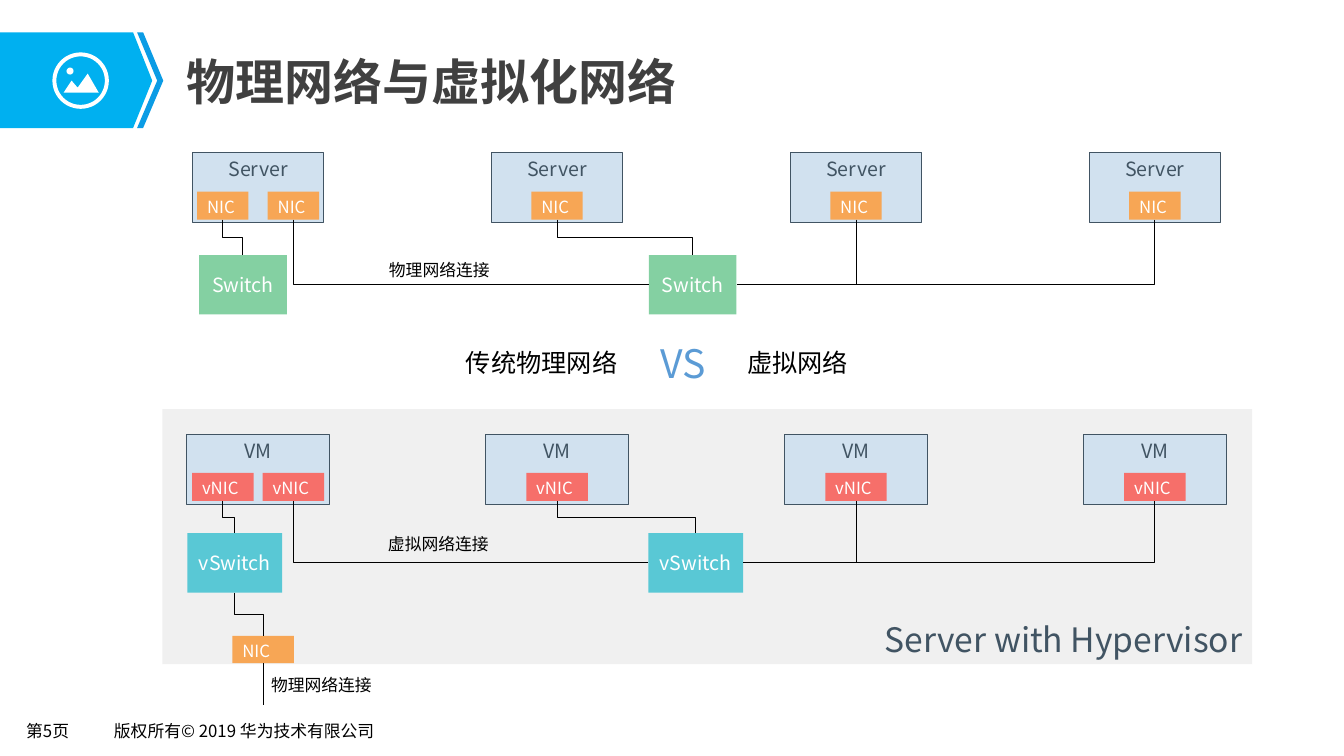
from dataclasses import dataclass

from lxml import etree
from pptx import Presentation
from pptx.dml.color import RGBColor
from pptx.enum.shapes import MSO_CONNECTOR, MSO_SHAPE
from pptx.enum.text import MSO_ANCHOR, MSO_AUTO_SIZE, PP_ALIGN
from pptx.oxml.ns import qn
from pptx.util import Inches, Pt

RECTANGLE, OVAL, DONUT = MSO_SHAPE.RECTANGLE, MSO_SHAPE.OVAL, MSO_SHAPE.DONUT
STRAIGHT, ELBOW = MSO_CONNECTOR.STRAIGHT, MSO_CONNECTOR.ELBOW
TOP, MIDDLE, BOTTOM = MSO_ANCHOR.TOP, MSO_ANCHOR.MIDDLE, MSO_ANCHOR.BOTTOM
LEFT, CENTER, RIGHT = PP_ALIGN.LEFT, PP_ALIGN.CENTER, PP_ALIGN.RIGHT
FIT_SHAPE, NO_FIT = MSO_AUTO_SIZE.SHAPE_TO_FIT_TEXT, MSO_AUTO_SIZE.NONE
SITE_TOP, SITE_LEFT, SITE_BOTTOM, SITE_RIGHT = range(4)


@dataclass(frozen=True)
class Theme:
    font: str = "Noto Sans CJK SC"
    black: str = "000000"
    white: str = "FFFFFF"
    title: str = "404040"
    slate: str = "415463"
    host: str = "D1E1EF"
    panel: str = "F0F0F0"
    nic: str = "F7A655"
    virtual_nic: str = "F66F6A"
    switch: str = "84D0A2"
    virtual_switch: str = "59C8D5"
    banner: str = "00B0F0"
    chevron: str = "0B9CE5"
    versus: str = "5B9BD5"
    title_size: float = 35
    versus_size: float = 28
    panel_size: float = 24
    heading_size: float = 18
    node_size: float = 14
    small_size: float = 12


THEME = Theme()
COLUMN_CENTERS = [2.56 + 2.965 * column for column in range(4)]
NIC_CENTERS = [COLUMN_CENTERS[0] - 0.35, COLUMN_CENTERS[0] + 0.35, *COLUMN_CENTERS[1:]]


def write_text(shape, text, *, size, color, align=LEFT, anchor=TOP, bold=False,
               wrap=True, insets=(0.1, 0.05)):
    frame = shape.text_frame
    frame.word_wrap = wrap
    frame.vertical_anchor = anchor
    frame.margin_left = frame.margin_right = Inches(insets[0])
    frame.margin_top = frame.margin_bottom = Inches(insets[1])
    paragraph = frame.paragraphs[0]
    paragraph.alignment = align
    run = paragraph.add_run()
    run.text = text
    run.font.size = Pt(size)
    run.font.bold = bold
    run.font.color.rgb = RGBColor.from_string(color)
    run.font.name = THEME.font
    etree.SubElement(run.font._element, qn("a:ea"), typeface=THEME.font)


def paint(shape, fill, outline=None):
    shape.shadow.inherit = False
    shape.fill.solid()
    shape.fill.fore_color.rgb = RGBColor.from_string(fill)
    if outline:
        shape.line.color.rgb = RGBColor.from_string(outline)
        shape.line.width = Pt(0.75)
    else:
        shape.line.fill.background()


def add_block(slide, left, top, width, height, fill, outline=None, kind=RECTANGLE):
    shape = slide.shapes.add_shape(
        kind, Inches(left), Inches(top), Inches(width), Inches(height))
    paint(shape, fill, outline)
    return shape


def add_node(slide, text, center, top, width, height, fill, *, outline=None, **text_format):
    shape = add_block(slide, center - width / 2, top, width, height, fill, outline)
    write_text(shape, text, **text_format)
    return shape


def add_label(slide, text, left, top, width, height, **text_format):
    box = slide.shapes.add_textbox(
        Inches(left), Inches(top), Inches(width), Inches(height))
    write_text(box, text, wrap=False, **text_format)
    box.text_frame.auto_size = FIT_SHAPE


def add_outline(slide, points, fill):
    corners = [(Inches(x), Inches(y)) for x, y in points]
    builder = slide.shapes.build_freeform(*corners[0])
    builder.add_line_segments(corners[1:], close=True)
    paint(builder.convert_to_shape(), fill)


def style_connector(connector):
    connector.line.color.rgb = RGBColor.from_string(THEME.black)
    connector.line.width = Pt(0.75)
    etree.SubElement(connector._element.spPr, qn("a:effectLst"))


def add_elbow(slide, upper, lower, site):
    connector = slide.shapes.add_connector(ELBOW, 0, 0, 0, 0)
    connector.begin_connect(upper, SITE_BOTTOM)
    connector.end_connect(lower, site)
    start_x, start_y = connector.begin_x, connector.begin_y
    end_x, end_y = connector.end_x, connector.end_y
    drop, run = end_y - start_y, abs(end_x - start_x)
    properties = connector._element.spPr
    frame = properties.find(qn("a:xfrm"))
    frame.attrib.clear()
    if end_x > start_x:
        frame.set("rot", "16200000")
        frame.set("flipH", "1")
    else:
        frame.set("rot", "5400000")
    connector.left = (start_x + end_x - drop) // 2
    connector.top = (start_y + end_y - run) // 2
    connector.width, connector.height = drop, run
    if site != SITE_TOP:
        properties.find(qn("a:prstGeom")).set("prst", "bentConnector2")
    style_connector(connector)


def add_header(slide):
    add_outline(slide, [(1.32, 1.27), (0, 1.27), (0, 0.32), (1.32, 0.32),
                        (1.51, 0.8)], THEME.banner)
    add_outline(slide, [(1.42, 0.32), (1.36, 0.32), (1.56, 0.8), (1.36, 1.27),
                        (1.42, 1.27), (1.62, 0.8)], THEME.chevron)
    ring = add_block(slide, 0.52, 0.52, 0.56, 0.56, THEME.white, kind=DONUT)
    ring.adjustments[0] = 0.07
    add_block(slide, 0.66, 0.67, 0.07, 0.07, THEME.white, kind=OVAL)
    add_outline(slide, [(0.98, 0.92), (0.63, 0.92), (0.71, 0.8), (0.77, 0.87),
                        (0.87, 0.73)], THEME.white)
    title = slide.shapes.title
    title.left, title.top = Inches(1.74), Inches(0.45)
    title.width, title.height = Inches(10.75), Inches(0.7)
    write_text(title, "物理网络与虚拟化网络", size=THEME.title_size, color=THEME.title,
               bold=True, anchor=MIDDLE, insets=(0.11, 0.06))
    title.text_frame.auto_size = NO_FIT


def add_network(slide, *, host, host_top, host_width, nic, nic_top, nic_width, nic_fill,
                switch, switch_top, switch_width, switch_fill, switch_centers):
    for center in COLUMN_CENTERS:
        add_node(slide, host, center, host_top, host_width, 0.7, THEME.host,
                 outline=THEME.slate, size=THEME.node_size, color=THEME.slate, align=CENTER)
    nics = [add_node(slide, nic, center, nic_top, nic_width, 0.28, nic_fill,
                     size=THEME.small_size, color=THEME.white) for center in NIC_CENTERS]
    edge, core = [add_node(slide, switch, center, switch_top, switch_width, 0.59, switch_fill,
                           size=THEME.node_size, color=THEME.white, align=CENTER,
                           anchor=MIDDLE) for center in switch_centers]
    links = [(edge, SITE_TOP), (core, SITE_LEFT), (core, SITE_TOP),
             (core, SITE_RIGHT), (core, SITE_RIGHT)]
    for card, (target, site) in zip(nics, links):
        add_elbow(slide, card, target, site)
    return edge


def add_uplink(slide, virtual_switch):
    card = add_node(slide, "NIC", 2.61, 6.31, 0.61, 0.27, THEME.nic,
                    size=THEME.small_size, color=THEME.white)
    add_elbow(slide, virtual_switch, card, SITE_TOP)
    cable = slide.shapes.add_connector(
        STRAIGHT, Inches(2.61), Inches(6.58), Inches(2.61), Inches(6.99))
    cable.begin_connect(card, SITE_BOTTOM)
    style_connector(cable)


def main():
    presentation = Presentation()
    presentation.slide_width, presentation.slide_height = Inches(13.33), Inches(7.5)
    slide = presentation.slides.add_slide(presentation.slide_layouts[5])
    add_header(slide)
    panel = add_block(slide, 1.61, 4.06, 10.81, 2.53, THEME.panel)
    write_text(panel, "Server with Hypervisor", size=THEME.panel_size, color=THEME.slate,
               align=RIGHT, anchor=BOTTOM)
    add_network(slide, host="Server", host_top=1.51, host_width=1.3,
                nic="NIC", nic_top=1.9, nic_width=0.51, nic_fill=THEME.nic,
                switch="Switch", switch_top=2.53, switch_width=0.87,
                switch_fill=THEME.switch, switch_centers=(2.41, 6.87))
    virtual_edge = add_network(
        slide, host="VM", host_top=4.31, host_width=1.42,
        nic="vNIC", nic_top=4.69, nic_width=0.61, nic_fill=THEME.virtual_nic,
        switch="vSwitch", switch_top=5.29, switch_width=0.94,
        switch_fill=THEME.virtual_switch, switch_centers=(2.33, 6.9))
    add_uplink(slide, virtual_edge)
    for text, left, top in (("物理网络连接", 3.76, 2.53), ("虚拟网络连接", 3.75, 5.25),
                            ("物理网络连接", 2.59, 6.64)):
        add_label(slide, text, left, top, 1.2, 0.3, size=THEME.small_size,
                  color=THEME.black, anchor=MIDDLE)
    for text, left, width in (("传统物理网络", 4.5, 1.72), ("虚拟网络", 7.3, 1.21)):
        add_label(slide, text, left, 3.4, width, 0.4, size=THEME.heading_size,
                  color=THEME.black, align=RIGHT)
    add_label(slide, "VS", 6.41, 3.32, 0.69, 0.57, size=THEME.versus_size,
              color=THEME.versus, align=RIGHT)
    for text, left, width in (("第5页", 0.17, 0.74),
                              ("版权所有© 2019 华为技术有限公司", 1.04, 2.85)):
        add_label(slide, text, left, 7.11, width, 0.29, size=THEME.small_size,
                  color=THEME.black, insets=(0.09, 0.04))
    presentation.save("out.pptx")


if __name__ == "__main__":
    main()
